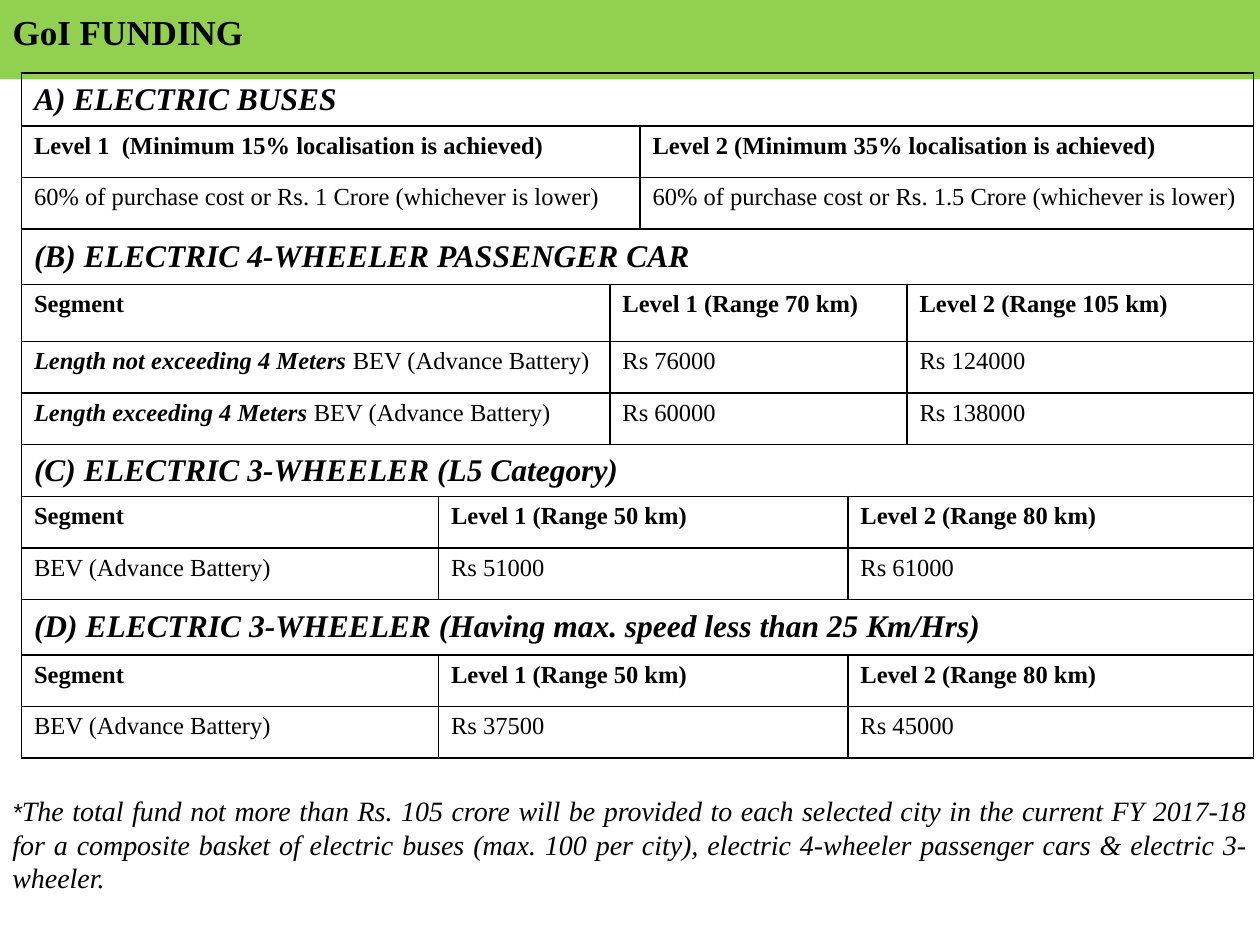
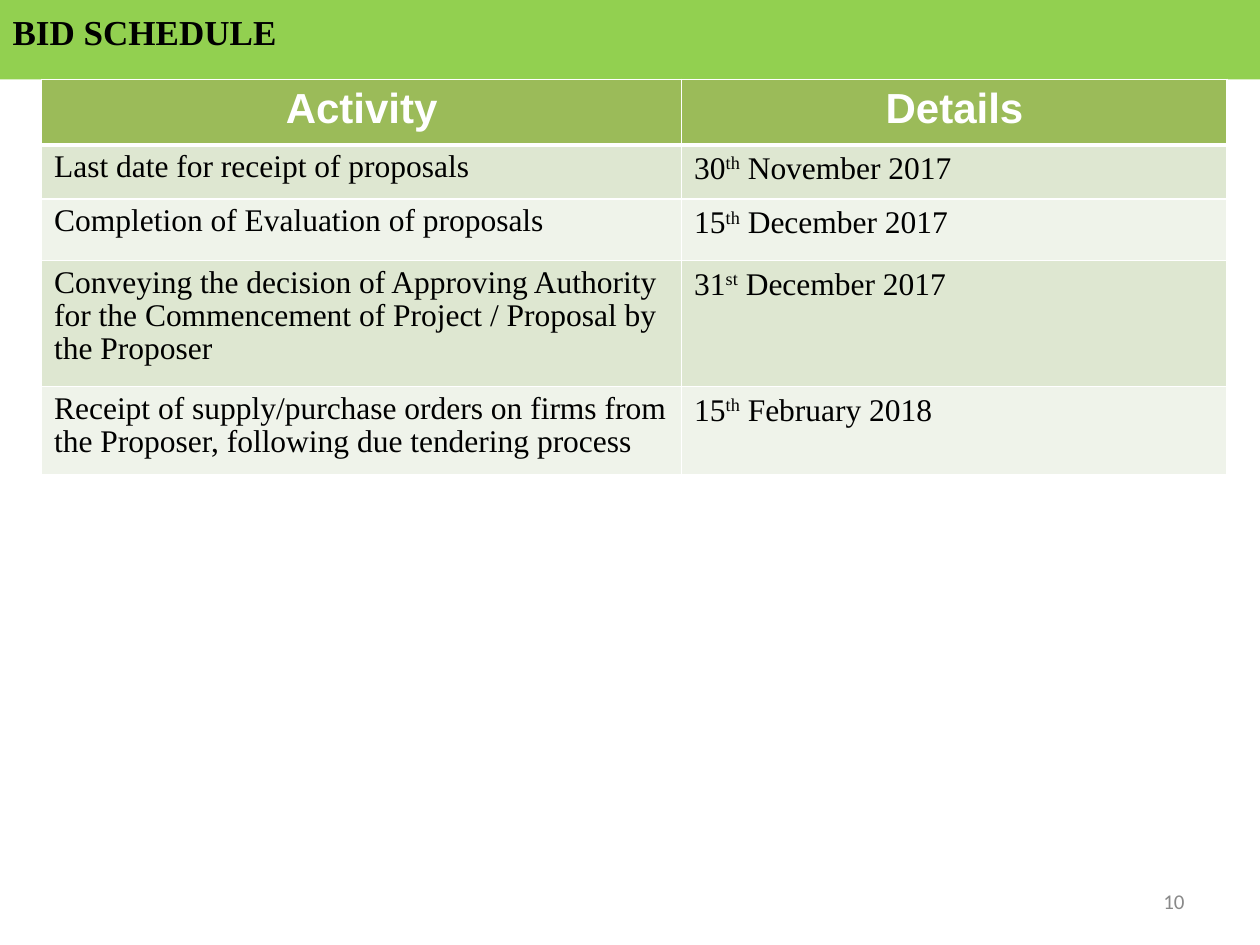
from lxml.etree import SubElement
from pptx import Presentation
from pptx.dml.color import RGBColor
from pptx.enum.text import MSO_ANCHOR, MSO_AUTO_SIZE, PP_ALIGN
from pptx.oxml.ns import qn
from pptx.util import Inches, Pt

BLACK = RGBColor(0x00, 0x00, 0x00)
WHITE = RGBColor(0xFF, 0xFF, 0xFF)
BAND_GREEN = RGBColor(0x92, 0xD0, 0x50)
HEADER_GREEN = RGBColor(0x9B, 0xBB, 0x59)
ROW_TINTS = (RGBColor(0xDE, 0xE7, 0xD1), RGBColor(0xEF, 0xF3, 0xEA))
NUMBER_GREY = RGBColor(0x89, 0x89, 0x89)
SERIF, SANS, NUMBER_FONT = "Times New Roman", "Arial", "Calibri"
TITLE_ONLY = 5

HALVES = (0, 3)
CAR_COLUMNS = (0, 2, 5)
THREE_WHEELER_COLUMNS = (0, 1, 4)
FULL_WIDTH = (0,)

FUNDING_COLUMNS = (3.31, 1.36, 0.21, 1.65, 0.47, 2.75)
FUNDING_ROWS = (
    ("section", 0.42, FULL_WIDTH, ["A) ELECTRIC BUSES"]),
    ("head", 0.41, HALVES, ["Level 1  (Minimum 15% localisation is achieved)",
                            "Level 2 (Minimum 35% localisation is achieved)"]),
    ("data", 0.41, HALVES, ["60% of purchase cost or Rs. 1 Crore (whichever is lower)",
                            "60% of purchase cost or Rs. 1.5 Crore (whichever is lower)"]),
    ("section", 0.44, FULL_WIDTH, ["(B) ELECTRIC 4-WHEELER PASSENGER CAR"]),
    ("head", 0.45, CAR_COLUMNS, ["Segment", "Level 1 (Range 70 km)", "Level 2 (Range 105 km)"]),
    ("data", 0.41, CAR_COLUMNS, [("Length not exceeding 4 Meters ", "BEV (Advance Battery)"),
                                 "Rs 76000", "Rs 124000"]),
    ("data", 0.41, CAR_COLUMNS, [("Length exceeding 4 Meters ", "BEV (Advance Battery)"),
                                 "Rs 60000", "Rs 138000"]),
    ("section", 0.41, FULL_WIDTH, ["(C) ELECTRIC 3-WHEELER (L5 Category)"]),
    ("head", 0.41, THREE_WHEELER_COLUMNS,
     ["Segment", "Level 1 (Range 50 km)", "Level 2 (Range 80 km)"]),
    ("data", 0.41, THREE_WHEELER_COLUMNS, ["BEV (Advance Battery)", "Rs 51000", "Rs 61000"]),
    ("section", 0.44, FULL_WIDTH,
     ["(D) ELECTRIC 3-WHEELER (Having max. speed less than 25 Km/Hrs)"]),
    ("head", 0.41, THREE_WHEELER_COLUMNS,
     ["Segment", "Level 1 (Range 50 km)", "Level 2 (Range 80 km)"]),
    ("data", 0.41, THREE_WHEELER_COLUMNS, ["BEV (Advance Battery)", "Rs 37500", "Rs 45000"]),
)
ROW_STYLES = {
    "section": dict(size=18, bold=True, italic=True),
    "head": dict(size=14, bold=True),
    "data": dict(size=14),
}
FOOTNOTE = (
    "The total fund not more than Rs. 105 crore will be provided to each selected city "
    "in the current FY 2017-18 for a composite basket of electric buses (max. 100 per city), "
    "electric 4-wheeler passenger cars & electric 3-wheeler."
)

SCHEDULE_COLUMNS = (5.08, 4.33)
SCHEDULE_HEADER = ("Activity", "Details")
SCHEDULE_HEIGHTS = (0.52, 0.43, 0.49, 1.0, 0.7)
SCHEDULE = (
    ("Last date for receipt of proposals", ("30", "th", " November 2017")),
    ("Completion of Evaluation of proposals", ("15", "th", " December 2017")),
    ("Conveying the decision of Approving Authority for the Commencement of "
     "Project / Proposal by the Proposer", ("31", "st", " December 2017")),
    ("Receipt of supply/purchase orders on firms from the Proposer, "
     "following due tendering process", ("15", "th", " February 2018")),
)


def add_span(para, text, size, font=SERIF, color=BLACK, bold=False, italic=False):
    span = para.add_run()
    span.text = text
    span.font.size = Pt(size)
    span.font.name = font
    span.font.color.rgb = color
    span.font.bold = bold
    span.font.italic = italic
    return span


def add_page(deck, title):
    page = deck.slides.add_slide(deck.slide_layouts[TITLE_ONLY])
    band = page.shapes.title
    band.left, band.top = 0, 0
    band.width, band.height = deck.slide_width, Inches(0.63)
    band.fill.solid()
    band.fill.fore_color.rgb = BAND_GREEN
    frame = band.text_frame
    frame.auto_size = MSO_AUTO_SIZE.NONE
    frame.vertical_anchor = MSO_ANCHOR.TOP
    frame.margin_top = Inches(0.08)
    para = frame.paragraphs[0]
    para.alignment = PP_ALIGN.LEFT
    add_span(para, title, 20, bold=True)
    return page


def add_text_box(page, left, top, width, height, alignment):
    box = page.shapes.add_textbox(Inches(left), Inches(top), Inches(width), Inches(height))
    box.text_frame.word_wrap = True
    para = box.text_frame.paragraphs[0]
    para.alignment = alignment
    return box, para


def set_borders(cell, color, bottom=1):
    properties = cell._tc.get_or_add_tcPr()
    widths = {"a:lnL": 1, "a:lnR": 1, "a:lnT": 1, "a:lnB": bottom}
    for position, (tag, width) in enumerate(widths.items()):
        line = SubElement(properties, qn(tag), w=str(Pt(width)))
        fill = SubElement(line, qn("a:solidFill"))
        SubElement(fill, qn("a:srgbClr"), val=str(color))
        properties.insert(position, line)


def add_grid(page, left, top, widths, heights):
    frame = page.shapes.add_table(len(heights), len(widths), Inches(left), Inches(top),
                                  Inches(sum(widths)), Inches(sum(heights)))
    grid = frame.table
    grid.first_row = grid.horz_banding = False
    for column, width in zip(grid.columns, widths):
        column.width = Inches(width)
    for row, height in zip(grid.rows, heights):
        row.height = Inches(height)
    return grid


def add_funding_table(page, left, top):
    grid = add_grid(page, left, top, FUNDING_COLUMNS, [row[1] for row in FUNDING_ROWS])
    for cell in grid.iter_cells():
        cell.fill.background()
        set_borders(cell, BLACK)
    for index, (kind, _, starts, texts) in enumerate(FUNDING_ROWS):
        ends = [*starts[1:], len(FUNDING_COLUMNS)]
        for start, end, text in zip(starts, ends, texts):
            cell = grid.cell(index, start)
            if end - start > 1:
                cell.merge(grid.cell(index, end - 1))
            if kind == "section":
                cell.vertical_anchor = MSO_ANCHOR.MIDDLE
            para = cell.text_frame.paragraphs[0]
            if isinstance(text, tuple):
                length, text = text
                add_span(para, length, 14, bold=True, italic=True)
            add_span(para, text, **ROW_STYLES[kind])


def add_schedule_table(page, left, top):
    grid = add_grid(page, left, top, SCHEDULE_COLUMNS, SCHEDULE_HEIGHTS)
    for column, heading in enumerate(SCHEDULE_HEADER):
        cell = grid.cell(0, column)
        cell.fill.solid()
        cell.fill.fore_color.rgb = HEADER_GREEN
        set_borders(cell, WHITE, bottom=3)
        para = cell.text_frame.paragraphs[0]
        para.alignment = PP_ALIGN.CENTER
        add_span(para, heading, 24, SANS, WHITE, bold=True)
    for index, (activity, (day, suffix, month)) in enumerate(SCHEDULE):
        cells = [grid.cell(index + 1, column) for column in range(2)]
        for cell in cells:
            cell.fill.solid()
            cell.fill.fore_color.rgb = ROW_TINTS[index % 2]
            set_borders(cell, WHITE)
        activity_para, date_para = (cell.text_frame.paragraphs[0] for cell in cells)
        activity_para.line_spacing = 0.95
        add_span(activity_para, activity, 18)
        add_span(date_para, day, 18)
        raised = add_span(date_para, suffix, 18)
        raised._r.get_or_add_rPr().set("baseline", "30000")
        add_span(date_para, month, 18)


def add_footnote(page):
    _, para = add_text_box(page, 0, 6.25, 10, 1.18, PP_ALIGN.JUSTIFY)
    add_span(para, "*", 14, SANS, italic=True)
    add_span(para, FOOTNOTE, 16, italic=True)


def add_page_number(page, number):
    box, para = add_text_box(page, 7.17, 6.95, 2.33, 0.4, PP_ALIGN.RIGHT)
    box.text_frame.vertical_anchor = MSO_ANCHOR.MIDDLE
    add_span(para, number, 12, NUMBER_FONT, NUMBER_GREY)


def main():
    deck = Presentation()
    deck.slide_width, deck.slide_height = Inches(10), Inches(7.5)
    funding = add_page(deck, "GoI FUNDING")
    add_funding_table(funding, 0.17, 0.58)
    add_footnote(funding)
    schedule = add_page(deck, "BID SCHEDULE")
    add_page_number(schedule, "10")
    add_schedule_table(schedule, 0.33, 0.63)
    deck.save("out.pptx")


if __name__ == "__main__":
    main()
